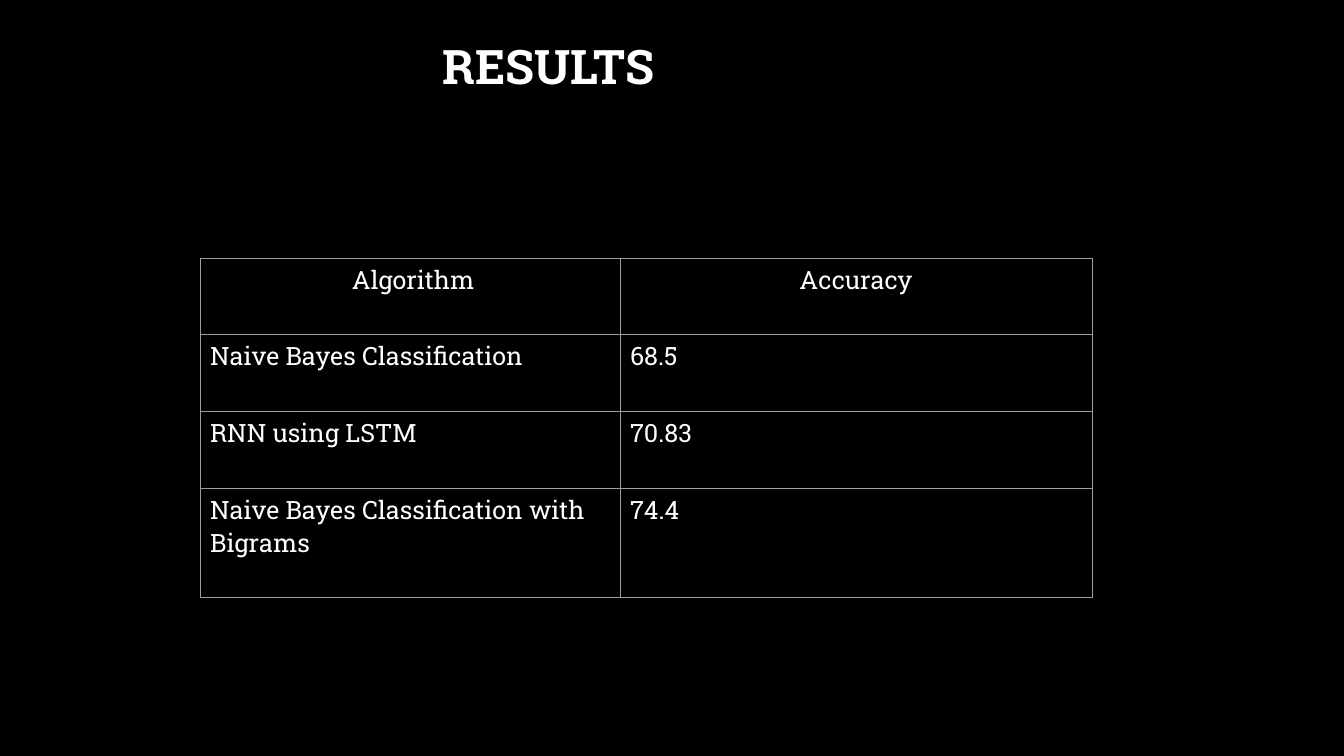
import lxml.etree
import pptx
import pptx.dml.color
import pptx.enum.text
import pptx.oxml.ns
import pptx.util

EMU_PER_PX = 914400 / 100.8
CENTER = pptx.enum.text.PP_ALIGN.CENTER
LEFT = pptx.enum.text.PP_ALIGN.LEFT


def px(length):
    return pptx.util.Emu(round(length * EMU_PER_PX))


def color(hex_string):
    return pptx.dml.color.RGBColor.from_string(hex_string)


class SlideBuilder:
    font = "Roboto Slab"
    background = "000000"
    text_color = "FFFFFF"
    border_color = "9E9E9E"
    border_width = pptx.util.Pt(0.75)

    def __init__(self, presentation):
        self.slide = presentation.slides.add_slide(presentation.slide_layouts[6])
        fill = self.slide.background.fill
        fill.solid()
        fill.fore_color.rgb = color(self.background)

    def set_text(self, text_frame, text, size, alignment, bold=False):
        paragraph = text_frame.paragraphs[0]
        paragraph.text = text
        paragraph.alignment = alignment
        paragraph.font.name = self.font
        paragraph.font.size = pptx.util.Pt(size)
        paragraph.font.bold = bold
        paragraph.font.color.rgb = color(self.text_color)
        return paragraph

    def title(self, text, left, top, width, height):
        shape = self.slide.shapes.add_textbox(px(left), px(top), px(width), px(height))
        frame = shape.text_frame
        frame.word_wrap = True
        frame.margin_left = frame.margin_right = px(10)
        frame.margin_top = frame.margin_bottom = px(10)
        self.set_text(frame, text, 34, CENTER, bold=True).line_spacing = 0.9

    def border(self, cell):
        properties = cell._tc.get_or_add_tcPr()
        qn = pptx.oxml.ns.qn
        for side in ("a:lnL", "a:lnR", "a:lnT", "a:lnB"):
            line = lxml.etree.SubElement(properties, qn(side), w=str(self.border_width))
            fill = lxml.etree.SubElement(line, qn("a:solidFill"))
            lxml.etree.SubElement(fill, qn("a:srgbClr"), val=self.border_color)

    def table(self, rows, left, top, column_widths, row_heights):
        table = self.slide.shapes.add_table(
            len(rows), len(column_widths), px(left), px(top),
            px(sum(column_widths)), px(sum(row_heights))).table
        table.first_row = table.horz_banding = False
        for column, width in zip(table.columns, column_widths):
            column.width = px(width)
        for row_index, (values, height) in enumerate(zip(rows, row_heights)):
            table.rows[row_index].height = px(height)
            alignment = LEFT if row_index else CENTER
            for cell, value in zip(table.rows[row_index].cells, values):
                self.border(cell)
                cell.fill.background()
                self.set_text(cell.text_frame, value, 18, alignment)


def main():
    presentation = pptx.Presentation()
    presentation.slide_width = px(1344)
    presentation.slide_height = px(756)
    builder = SlideBuilder(presentation)

    # Heading
    builder.title("RESULTS", 30, 33, 1037, 154)

    # Accuracy by algorithm
    builder.table(
        [
            (" Algorithm", "Accuracy"),
            ("Naive Bayes Classification", "68.5"),
            ("RNN using LSTM", "70.83"),
            ("Naive Bayes Classification with Bigrams", "74.4"),
        ],
        200, 258, [420, 472], [76, 77, 77, 110])

    presentation.save("out.pptx")


if __name__ == "__main__":
    main()
